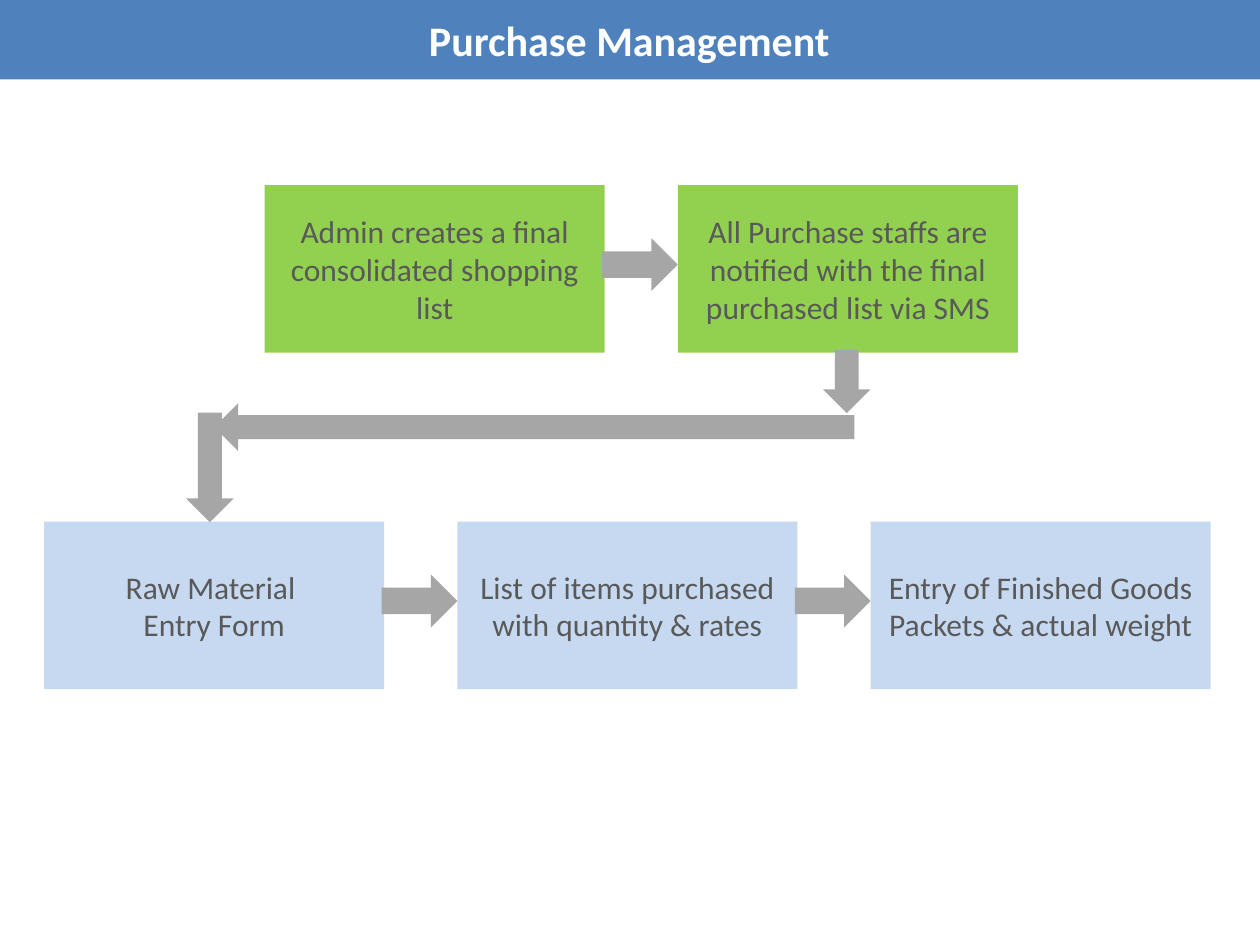
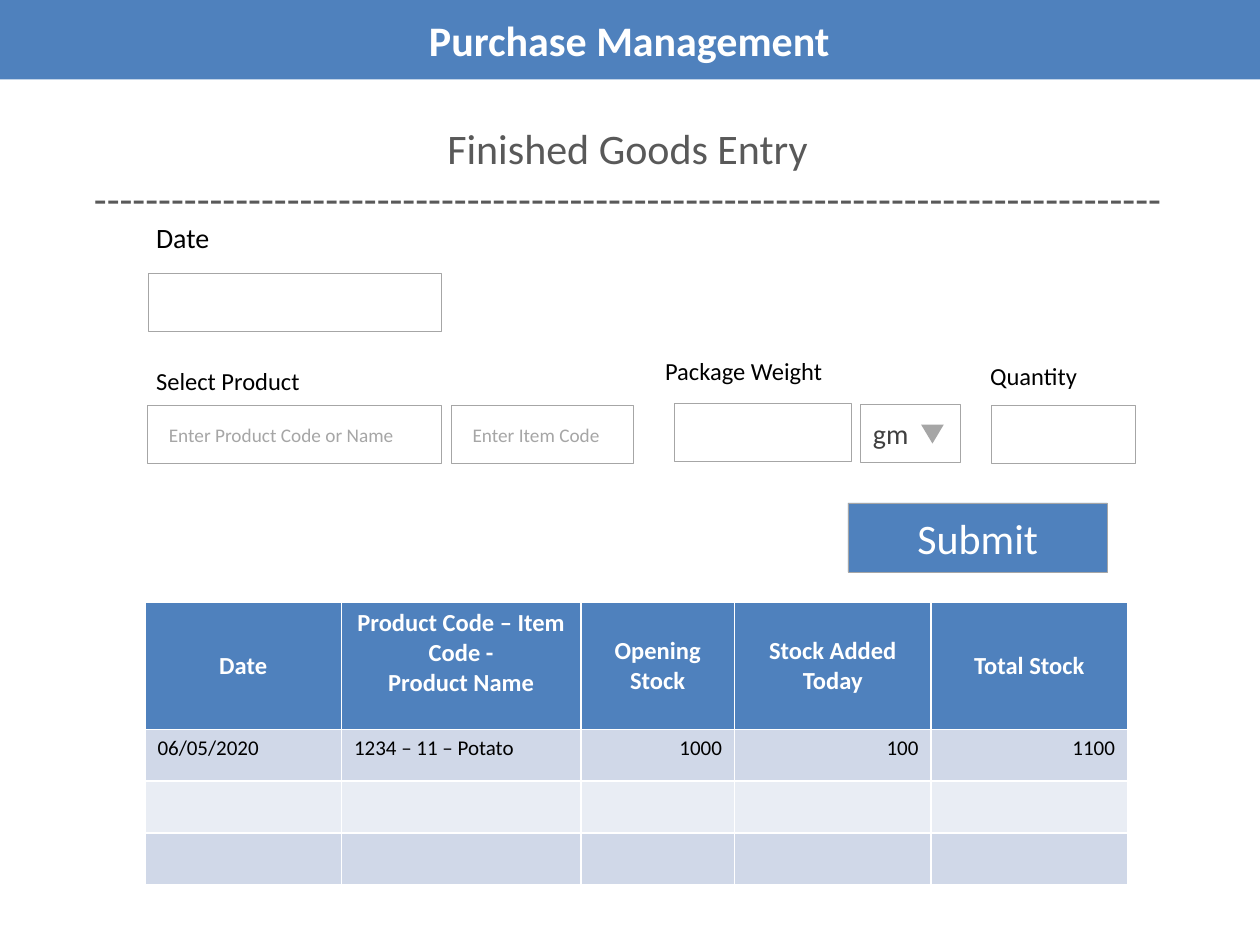
from pptx import Presentation
from pptx.dml.color import RGBColor
from pptx.enum import shapes, text
from pptx.util import Inches, Pt

BLUE = RGBColor(0x4F, 0x81, 0xBD)
PALE_BLUE = RGBColor(0xC6, 0xD9, 0xF1)
GREEN = RGBColor(0x92, 0xD0, 0x50)
GREY = RGBColor(0xA6, 0xA6, 0xA6)
DARK_GREY = RGBColor(0x59, 0x59, 0x59)
CHARCOAL = RGBColor(0x40, 0x40, 0x40)
ROW_DARK = RGBColor(0xD0, 0xD8, 0xE8)
ROW_LIGHT = RGBColor(0xE9, 0xED, 0xF4)
WHITE = RGBColor(0xFF, 0xFF, 0xFF)
BLACK = RGBColor(0, 0, 0)

KIND = shapes.MSO_SHAPE
ALIGN = text.PP_ALIGN
MIDDLE = text.MSO_ANCHOR.MIDDLE


def write(frame, words, size, color, align=ALIGN.LEFT, bold=False):
    """Put words in a text frame or cell frame, all in one style."""
    frame.text = words
    for paragraph in frame.paragraphs:
        paragraph.alignment = align
        for run in paragraph.runs:
            run.font.name = "Calibri"
            run.font.size = Pt(size)
            run.font.bold = bold
            run.font.color.rgb = color


def add_block(slide, kind, box, fill, outlined=False, rotation=0):
    """Add a flat preset shape; box is left, top, width, height in inches."""
    block = slide.shapes.add_shape(kind, *[Inches(v) for v in box])
    block.shadow.inherit = False
    block.rotation = rotation
    block.fill.solid()
    block.fill.fore_color.rgb = fill
    if outlined:
        block.line.color.rgb = GREY
        block.line.width = Pt(0.25)
    else:
        block.line.fill.background()
    block.text_frame.vertical_anchor = MIDDLE
    return block


prs = Presentation()
prs.slide_width = Inches(10)
prs.slide_height = Inches(7.5)

# Both slides carry the same title band
for _ in range(2):
    slide = prs.slides.add_slide(prs.slide_layouts[5])
    title = slide.shapes.title
    title.left, title.top = Inches(-0.03), Inches(0)
    title.width, title.height = Inches(10.05), Inches(0.63)
    title.fill.solid()
    title.fill.fore_color.rgb = BLUE
    title.text_frame.vertical_anchor = MIDDLE
    write(title.text_frame, "Purchase Management", 24, WHITE, ALIGN.CENTER, True)
flow, entry = prs.slides

# Slide 1: two rows of steps, each step leading to the next
STEP_W, STEP_H, STEP_PITCH = 2.7, 1.33, 3.28
step_rows = [
    (2.1, 1.47, GREEN, ["Admin creates a final consolidated shopping list",
                        "All Purchase staffs are notified with the final purchased list via SMS"]),
    (0.35, 4.14, PALE_BLUE, ["Raw Material \nEntry Form",
                             "List of items purchased with quantity & rates",
                             "Entry of Finished Goods Packets & actual weight"]),
]
for row_left, top, fill, steps in step_rows:
    for i, words in enumerate(steps):
        left = row_left + i * STEP_PITCH
        step = add_block(flow, KIND.RECTANGLE, (left, top, STEP_W, STEP_H), fill)
        write(step.text_frame, words, 18, DARK_GREY, ALIGN.CENTER)
        if i < len(steps) - 1:
            add_block(flow, KIND.RIGHT_ARROW, (left + STEP_W - 0.02, top + 0.42, 0.6, 0.42), GREY)

# Down, back to the left, and down into the second row
for left, top, length, rotation in [(6.47, 2.84, 0.5, 90), (1.7, 3.2, 5.08, 180), (1.23, 3.52, 0.87, 90)]:
    add_block(flow, KIND.RIGHT_ARROW, (left, top, length, 0.38), GREY, rotation=rotation)

# Slide 2: entry form
form = add_block(entry, KIND.RECTANGLE, (0.44, 0.92, 9.08, 6.29), WHITE)
form.text_frame.vertical_anchor = text.MSO_ANCHOR.TOP
write(form.text_frame, "Finished Goods Entry\n" + "-" * 83, 24, DARK_GREY, ALIGN.CENTER)

FIELD_H = 0.46
fields = [  # left, top, width, words, size, color, left margin
    (1.18, 2.17, 2.32, "", 11, GREY, 0.1),
    (1.17, 3.22, 2.33, "Enter Product Code or Name", 11, GREY, 0.17),
    (3.58, 3.22, 1.45, "Enter Item Code", 11, GREY, 0.17),
    (5.35, 3.2, 1.41, "", 11, GREY, 0.1),
    (6.83, 3.21, 0.79, "gm", 16, CHARCOAL, 0.1),
    (7.87, 3.22, 1.14, "", 11, GREY, 0.1),
]
for left, top, width, words, size, color, margin in fields:
    field = add_block(entry, KIND.RECTANGLE, (left, top, width, FIELD_H), WHITE, outlined=True)
    field.text_frame.margin_left = Inches(margin)
    write(field.text_frame, words, size, color)
add_block(entry, KIND.ISOSCELES_TRIANGLE, (7.31, 3.37, 0.18, 0.15), GREY, rotation=180)

labels = [
    (1.14, 1.7, 0.63, "Date", 16),
    (1.14, 2.86, 1.35, "Select Product", 14),
    (5.18, 2.78, 1.46, "Package Weight", 14),
    (7.76, 2.82, 0.9, "Quantity", 14),
]
for left, top, width, words, size in labels:
    label = entry.shapes.add_textbox(Inches(left), Inches(top), Inches(width), Inches(0.34))
    label.text_frame.word_wrap = False
    write(label.text_frame, words, size, BLACK)

submit = add_block(entry, KIND.RECTANGLE, (6.73, 3.99, 2.06, 0.55), BLUE, outlined=True)
write(submit.text_frame, "Submit", 24, WHITE, ALIGN.CENTER)

# Stock table
headings = ["Date", "Product Code – Item Code -\nProduct Name", "Opening Stock",
            "Stock Added Today", "Total Stock"]
first_entry = ["06/05/2020", "1234 – 11 – Potato", "1000", "100", "1100"]
row_heights = [1.01, 0.41, 0.41, 0.41]
stock = entry.shapes.add_table(4, 5, Inches(1.15), Inches(4.78), Inches(7.8), Inches(2.24)).table
for column, width in zip(stock.columns, [1.56, 1.9, 1.22, 1.56, 1.56]):
    column.width = Inches(width)
for r, height in enumerate(row_heights):
    stock.rows[r].height = Inches(height)
    for c in range(5):
        cell = stock.cell(r, c)
        cell.fill.solid()
        cell.fill.fore_color.rgb = BLUE if r == 0 else ROW_DARK if r % 2 else ROW_LIGHT
        if r == 0:
            cell.vertical_anchor = MIDDLE
            write(cell.text_frame, headings[c], 14, WHITE, ALIGN.CENTER, True)
        elif r == 1:
            write(cell.text_frame, first_entry[c], 12, BLACK, ALIGN.RIGHT if c > 1 else ALIGN.LEFT)
stock.cell(0, 1).margin_bottom = Inches(0.25)

prs.save("out.pptx")
